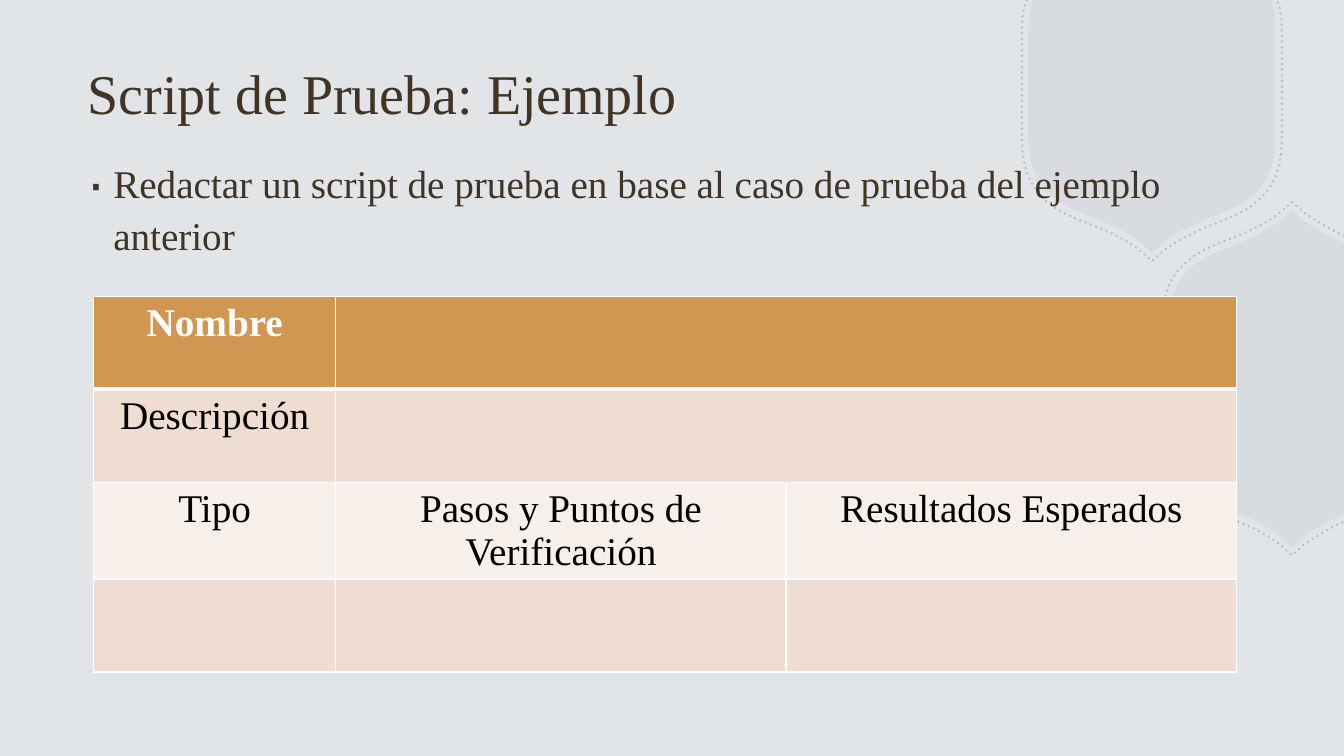
from dataclasses import dataclass
from typing import Any

from lxml.etree import Element, SubElement
from pptx import Presentation
from pptx.dml.color import RGBColor as Rgb
from pptx.enum.dml import MSO_LINE
from pptx.enum.text import MSO_ANCHOR as Anchor, MSO_AUTO_SIZE as AutoSize, PP_ALIGN as Align
from pptx.oxml.ns import qn
from pptx.util import Cm, Pt

Point = tuple[float, float]


@dataclass(frozen=True)
class Theme:
    font: str = "Times New Roman"
    title_size: int = 40
    text_size: int = 28
    background: str = "E2E5E8"
    ornament: str = "A2ACB5"
    ink: str = "413424"
    header: str = "D19651"
    band_dark: str = "EEDDD0"
    band_light: str = "F7EFE9"
    white: str = "FFFFFF"
    black: str = "000000"


THEME = Theme()
WIDTH, HEIGHT = 33.87, 19.05


@dataclass(frozen=True)
class Row:
    texts: tuple[str, ...]
    fill: str
    ink: str = THEME.black
    bold: bool = False
    top: int = 1
    bottom: int = 1


@dataclass(frozen=True)
class Hexagon:
    """Half of a symmetric outline; L marks a line, C a curve of three points."""
    centre: Point
    half: tuple[Point, ...]
    segments: str
    mirror: Point


# Ornament, in centimetres from each centre: a quarter from the tip to the side
QUARTER: tuple[Point, ...] = (
    (0, 4.24), (0.28, 3.99), (0.97, 3.45), (1.73, 3.33), (2.31, 2.97),
    (2.87, 2.59), (3.12, 2.13), (3.12, 1.24),
)
TOP_END: tuple[Point, ...] = ((3.12, -1.22), (3.12, -1.55), (3.1, -1.83), (3, -2.13))
RIGHT_END: tuple[Point, ...] = (
    (-0.28, 3.99), (-0.46, 3.86), (-0.64, 3.76), (-0.79, 3.66), (-1.31, 3.43),
)
HEXAGONS = (
    Hexagon((29.03, 2.13), QUARTER + TOP_END, "LCCLC", (-1, 1)),
    Hexagon((32.56, 9.54), tuple((-x, y) for x, y in ((3.12, 0),) + QUARTER[::-1] + RIGHT_END),
            "LCCLLCL", (1, -1)),
)
OUTLINE_SCALE = 1.05

# Test script table
COLUMNS = (6.1, 11.35, 11.35)
ROW_HEIGHT = 2.34
ROWS = (
    Row(("Nombre", ""), THEME.header, THEME.white, bold=True, bottom=3),
    Row(("Descripción", ""), THEME.band_dark, top=3),
    Row(("Tipo", "Pasos y Puntos de Verificación", "Resultados Esperados"), THEME.band_light),
    Row(("", "", ""), THEME.band_dark),
)


def apply(target: Any, values: dict[str, Any]) -> None:
    for key, value in values.items():
        setattr(target, key, value)


def style_font(font: Any, size: int, color: str, bold: bool = False) -> None:
    apply(font, {"name": THEME.font, "size": Pt(size), "bold": bold})
    font.color.rgb = Rgb.from_string(color)


def bend(shape: Any, segments: str) -> None:
    """Join the points of each curve segment into one cubic curve."""
    lines = iter(list(shape.element.iter(qn("a:lnTo"))))
    for kind in segments:
        first = next(lines)
        if kind == "C":
            curve = Element(qn("a:cubicBezTo"))
            first.addprevious(curve)
            for line in (first, next(lines), next(lines)):
                curve.append(line[0])
                line.getparent().remove(line)


def draw_hexagon(shapes: Any, hexagon: Hexagon, scale: float, close: bool) -> Any:
    mx, my = hexagon.mirror
    mirrored = [(x * mx, y * my) for x, y in hexagon.half[:0:-1]]
    cx, cy = hexagon.centre
    corners = [
        (Cm(min(cx + x * scale, WIDTH)), Cm(max(cy + y * scale, 0)))
        for x, y in mirrored + list(hexagon.half)
    ]
    builder = shapes.build_freeform(*corners[0], scale=1.0)
    builder.add_line_segments(corners[1:], close=close)
    shape = builder.convert_to_shape()
    bend(shape, hexagon.segments[::-1] + hexagon.segments)
    shape.shadow.inherit = False
    return shape


def set_alpha(fill: Any, percent: int) -> None:
    color = fill.find(f"{qn('a:solidFill')}/{qn('a:srgbClr')}")
    SubElement(color, qn("a:alpha"), val=str(percent * 1000))


def add_filled(shapes: Any, hexagon: Hexagon) -> None:
    shape = draw_hexagon(shapes, hexagon, 1, close=True)
    shape.fill.solid()
    shape.fill.fore_color.rgb = Rgb.from_string(THEME.ornament)
    shape.line.fill.background()
    set_alpha(shape.element.spPr, 15)


def add_dotted(shapes: Any, hexagon: Hexagon) -> None:
    shape = draw_hexagon(shapes, hexagon, OUTLINE_SCALE, close=False)
    shape.fill.background()
    shape.line.color.rgb = Rgb.from_string(THEME.ornament)
    apply(shape.line, {"width": Pt(2), "dash_style": MSO_LINE.ROUND_DOT})
    outline = shape.element.spPr.find(qn("a:ln"))
    outline.set("cap", "rnd")
    set_alpha(outline, 65)


def fill_placeholder(holder: Any, text: str, size: int, top: float, height: float,
                     anchor: Anchor) -> Any:
    apply(holder, {"left": Cm(1.96), "top": Cm(top), "width": Cm(29.54), "height": Cm(height)})
    frame = holder.text_frame
    apply(frame, {"text": text, "word_wrap": True, "auto_size": AutoSize.NONE,
                  "vertical_anchor": anchor})
    paragraph = frame.paragraphs[0]
    paragraph.alignment = Align.LEFT
    style_font(paragraph.runs[0].font, size, THEME.ink)
    holder.element.getparent().append(holder.element)  # in front of the ornament
    return paragraph


def set_bullet(paragraph: Any) -> None:
    props = paragraph._p.get_or_add_pPr()
    props.set("marL", str(Cm(0.64)))
    props.set("indent", str(-Cm(0.64)))
    SubElement(props, qn("a:buSzPct"), val="150000")
    SubElement(props, qn("a:buChar"), char="∙")


def set_borders(cell: Any, row: Row) -> None:
    props = cell._tc.get_or_add_tcPr()
    for side, points in {"L": 1, "R": 1, "T": row.top, "B": row.bottom}.items():
        line = SubElement(props, qn(f"a:ln{side}"), w=str(Pt(points)))
        SubElement(SubElement(line, qn("a:solidFill")), qn("a:srgbClr"), val=THEME.white)


def add_script_table(shapes: Any) -> None:
    table = shapes.add_table(len(ROWS), len(COLUMNS), Cm(2.36), Cm(7.47),
                             Cm(sum(COLUMNS)), Cm(ROW_HEIGHT * len(ROWS))).table
    for column, width in zip(table.columns, COLUMNS):
        column.width = Cm(width)
    for r, row in enumerate(ROWS):
        for cell in table.rows[r].cells:
            set_borders(cell, row)
            cell.fill.solid()
            cell.fill.fore_color.rgb = Rgb.from_string(row.fill)
        if len(row.texts) < len(COLUMNS):
            table.cell(r, len(row.texts) - 1).merge(table.cell(r, len(COLUMNS) - 1))
        for c, text in enumerate(row.texts):
            if text:
                paragraph = table.cell(r, c).text_frame.paragraphs[0]
                apply(paragraph, {"text": text, "alignment": Align.CENTER})
                style_font(paragraph.runs[0].font, THEME.text_size, row.ink, row.bold)


def main() -> None:
    deck = Presentation()
    apply(deck, {"slide_width": Cm(WIDTH), "slide_height": Cm(HEIGHT)})
    slide = deck.slides.add_slide(deck.slide_layouts[1])
    slide.background.fill.solid()
    slide.background.fill.fore_color.rgb = Rgb.from_string(THEME.background)

    # Ornament
    for draw in (add_filled, add_dotted):
        for hexagon in HEXAGONS:
            draw(slide.shapes, hexagon)

    # Title and task
    title, task = slide.placeholders
    fill_placeholder(title, "Script de Prueba: Ejemplo", THEME.title_size, 1.02, 2.59,
                     Anchor.MIDDLE)
    assignment = fill_placeholder(
        task, "Redactar un script de prueba en base al caso de prueba del ejemplo anterior",
        THEME.text_size, 3.78, 14.07, Anchor.TOP)
    apply(assignment, {"line_spacing": 1.1, "space_before": Pt(10)})
    set_bullet(assignment)

    # Table
    add_script_table(slide.shapes)
    deck.save("out.pptx")


if __name__ == "__main__":
    main()
